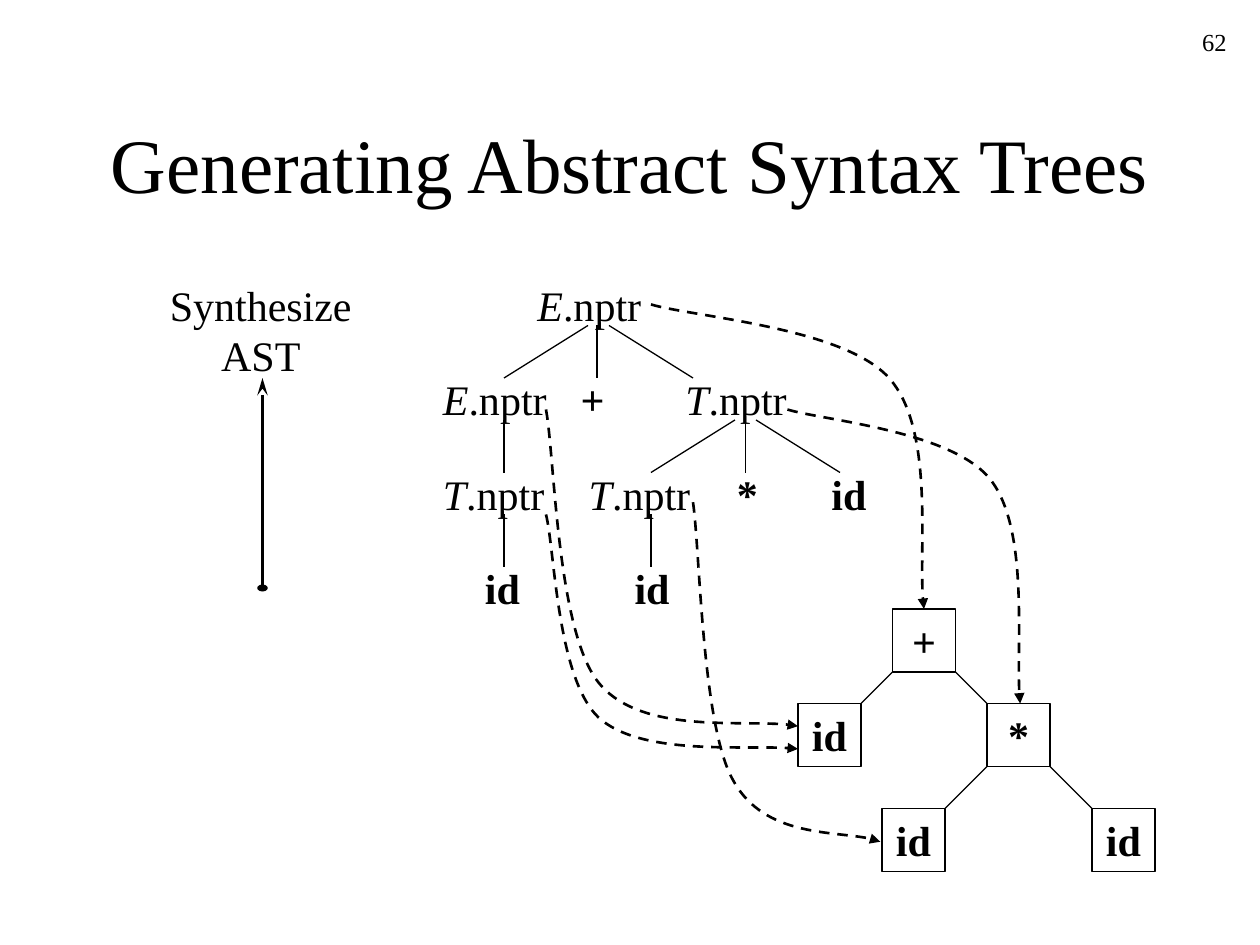
import pptx
import pptx.dml.color
import pptx.enum.dml
import pptx.enum.shapes
import pptx.enum.text
import pptx.oxml.ns
import pptx.util
from lxml import etree

Pt = pptx.util.Pt
qn = pptx.oxml.ns.qn
ALIGN = pptx.enum.text.PP_ALIGN
ANCHOR = pptx.enum.text.MSO_ANCHOR
FIT = pptx.enum.text.MSO_AUTO_SIZE

BLACK = pptx.dml.color.RGBColor(0, 0, 0)
PLAIN = {"name": "Times New Roman", "size": Pt(24), "bold": False, "italic": False}
BOLD = {**PLAIN, "bold": True}
SLANT = {**PLAIN, "italic": True}
SMALL = {**PLAIN, "size": Pt(14)}
LARGE = {**PLAIN, "size": Pt(44)}

TOP, PITCH = 156, 54    # first row of the parse tree and row distance
SIDE = 36               # side of a syntax tree node

# row, left, width, runs
LABELS = [
    (0, 300, 74, [("E", SLANT), (".nptr", PLAIN)]),
    (1, 246, 74, [("E", SLANT), (".nptr", PLAIN)]),
    (1, 324.7, 28.5, [("+", BOLD)]),
    (1, 384.5, 73, [("T", SLANT), (".nptr", PLAIN)]),
    (2, 246, 73, [("T", SLANT), (".nptr", PLAIN)]),
    (2, 329.3, 73, [("T", SLANT), (".nptr", PLAIN)]),
    (2, 414, 26.5, [("*", BOLD)]),
    (2, 468, 35, [("id", BOLD)]),
    (3, 270, 35, [("id", BOLD)]),
    (3, 355.5, 35, [("id", BOLD)]),
]
# row, x above, x below
EDGES = [
    (0, 336, 288), (0, 341.2, 341.2), (0, 348, 396),
    (1, 288, 288), (1, 420, 372), (1, 426, 426), (1, 432, 480),
    (2, 288, 288), (2, 372, 372),
]
# name: left, top, text
NODES = {
    "plus": (510, 348, "+"),
    "first": (456, 402, "id"),
    "times": (564, 402, "*"),
    "second": (504, 462, "id"),
    "third": (624, 462, "id"),
}
# parent, left child, right child
PAIRS = [("plus", "first", "times"), ("times", "second", "third")]
# start, then two control points and an end for each part
CURVES = [
    [(372, 174), (395, 181), (482, 187), (508, 216),
     (534, 245), (524, 320), (528, 348)],
    [(396, 287), (400, 314), (401, 415), (419, 446),
     (437, 479), (486, 474), (503, 481)],
    [(312, 294), (317, 313), (318, 387), (342, 410),
     (366, 432), (432, 425), (456, 428)],
    [(312, 234), (317, 260), (318, 360), (342, 390),
     (366, 420), (432, 410), (456, 415)],
    [(450, 234), (469, 240), (544, 246), (566, 274),
     (588, 302), (580, 375), (583, 402)],
]
HEAD = {"type": "stealth", "w": "med", "len": "lg"}
DOT = {"type": "oval", "w": "med", "len": "sm"}
TIP = {"type": "triangle"}


def write(frame, parts, align):
    para = frame.paragraphs[0]
    para.alignment = align
    for text, look in parts:
        for num, line in enumerate(text.split("\n")):
            if num:
                para.add_line_break()
            run = para.add_run()
            run.text = line
            for key, value in look.items():
                setattr(run.font, key, value)
            run.font.color.rgb = BLACK


def label(slide, box, parts, align=ALIGN.LEFT, **extra):
    """Add a text box; extra holds text frame settings."""
    frame = slide.shapes.add_textbox(*map(Pt, box)).text_frame
    for key, value in extra.items():
        setattr(frame, key, value)
    write(frame, parts, align)


def stroke(shape, width, dash=None, **ends):
    """Style an outline; ends maps headEnd or tailEnd to its attributes."""
    line = shape.line
    line.color.rgb = BLACK
    line.width = Pt(width)
    if dash:
        line.dash_style = dash
    for end, form in ends.items():
        etree.SubElement(line._get_or_add_ln(), qn("a:" + end), form)


def edge(slide, start, stop, width=0.75, **ends):
    kind = pptx.enum.shapes.MSO_CONNECTOR.STRAIGHT
    line = slide.shapes.add_connector(kind, *map(Pt, (*start, *stop)))
    stroke(line, width, **ends)
    etree.SubElement(line._element.spPr, qn("a:effectLst"))


def node(slide, left, top, text):
    kind = pptx.enum.shapes.MSO_SHAPE.RECTANGLE
    shape = slide.shapes.add_shape(kind, *map(Pt, (left, top, SIDE, SIDE)))
    shape.shadow.inherit = False
    shape.fill.background()
    stroke(shape, 0.75)
    shape.text_frame.vertical_anchor = ANCHOR.TOP
    write(shape.text_frame, [(text, BOLD)], ALIGN.CENTER)


def curve(slide, points):
    """Add a dashed arrow, turning each three segments into one Bezier."""
    first, *rest = [(Pt(x), Pt(y)) for x, y in points]
    build = slide.shapes.build_freeform(*first)
    build.add_line_segments(rest, close=False)
    shape = build.convert_to_shape()
    steps = list(shape._element.iter(qn("a:lnTo")))
    geom = steps[0].getparent()
    for num in range(0, len(steps), 3):
        bend = etree.SubElement(geom, qn("a:cubicBezTo"))
        for step in steps[num:num + 3]:
            bend.append(step[0])
            geom.remove(step)
    shape.shadow.inherit = False
    shape.fill.background()
    stroke(shape, 1.5, pptx.enum.dml.MSO_LINE.DASH, tailEnd=TIP)


def tree(slide):
    """Draw the abstract syntax tree."""
    for left, top, text in NODES.values():
        node(slide, left, top, text)
    for root, west, east in PAIRS:
        x, y = NODES[root][:2]
        edge(slide, (x, y + SIDE), (NODES[west][0] + SIDE, NODES[west][1]))
        edge(slide, (x + SIDE, y + SIDE), NODES[east][:2])


def main():
    deck = pptx.Presentation()
    deck.slide_width, deck.slide_height = Pt(720), Pt(540)
    slide = deck.slides.add_slide(deck.slide_layouts[6])
    grow = {"word_wrap": False, "auto_size": FIT.SHAPE_TO_FIT_TEXT}

    label(slide, (558, 12, 150, 36), [("62", SMALL)], ALIGN.RIGHT, word_wrap=True)
    label(slide, (54, 48, 612, 90), [("Generating Abstract Syntax Trees", LARGE)],
          ALIGN.CENTER, word_wrap=True, vertical_anchor=ANCHOR.MIDDLE)
    for row, left, width, parts in LABELS:
        label(slide, (left, TOP + row * PITCH, width, 36), parts, **grow)
    for row, above, below in EDGES:
        y = TOP + 30 + row * PITCH
        edge(slide, (above, y), (below, y + 30))
    tree(slide)
    edge(slide, (150, 216), (150, 336), 2, headEnd=HEAD, tailEnd=DOT)
    label(slide, (89, TOP, 120, 65), [("Synthesize\nAST", PLAIN)],
          ALIGN.CENTER, **grow)
    for points in CURVES:
        curve(slide, points)
    deck.save("out.pptx")


if __name__ == "__main__":
    main()
